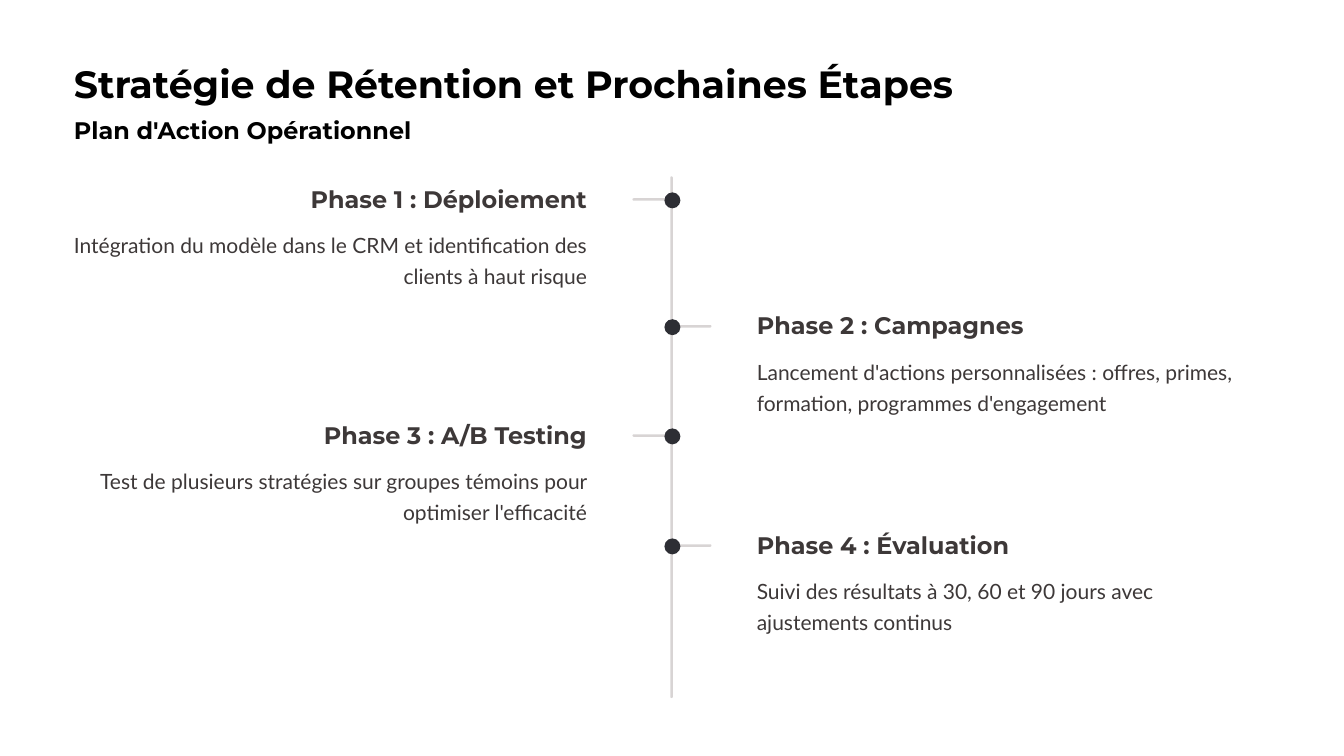
from dataclasses import dataclass

from pptx import Presentation
from pptx.dml.color import RGBColor
from pptx.enum.shapes import MSO_SHAPE
from pptx.enum.text import MSO_ANCHOR, MSO_AUTO_SIZE, PP_ALIGN
from pptx.util import Inches, Pt

ROUNDED = MSO_SHAPE.ROUNDED_RECTANGLE
LEFT, RIGHT = PP_ALIGN.LEFT, PP_ALIGN.RIGHT
TOP = MSO_ANCHOR.TOP
NO_AUTOFIT = MSO_AUTO_SIZE.NONE

COLORS = {"title": "000000", "text": "3D3838", "line": "D8D4D4", "dot": "2D2E34"}

MARGIN = 0.88
LEFT_EDGE = 6.99    # right edge of the texts left of the axis
RIGHT_EDGE = 9.01   # left edge of the texts right of the axis
BODY_W = 6.11
HEAD_H = 0.36
BAR = 0.03
DOT = 0.19
TICK_W = 0.5


@dataclass
class Style:
    font: str
    size: float
    spacing: float
    color: str
    bold: bool = True


@dataclass
class Phase:
    top: float
    head_w: float
    on_left: bool
    head: str
    body: str


TITLE = Style("Montserrat", 32.5, 41, "title")
SUBTITLE = Style("Montserrat", 20.5, 25.5, "title")
HEAD = Style("Montserrat", 20.5, 25.5, "text")
BODY = Style("Lato", 18, 27, "text", bold=False)

PHASES = [
    Phase(2.18, 3.3, True, "Phase 1 : Déploiement",
          "Intégration du modèle dans le CRM et identification des clients à haut risque"),
    Phase(3.69, 3.19, False, "Phase 2 : Campagnes",
          "Lancement d'actions personnalisées : offres, primes, formation, "
          "programmes d'engagement"),
    Phase(4.99, 3.14, True, "Phase 3 : A/B Testing",
          "Test de plusieurs stratégies sur groupes témoins pour optimiser l'efficacité"),
    Phase(6.3, 3.01, False, "Phase 4 : Évaluation",
          "Suivi des résultats à 30, 60 et 90 jours avec ajustements continus"),
]


def set_text(sp, text: str, style: Style, align=LEFT, wrap: bool = False) -> None:
    tf = sp.text_frame
    tf.margin_left = tf.margin_right = tf.margin_top = tf.margin_bottom = 0
    tf.auto_size = NO_AUTOFIT
    tf.vertical_anchor = TOP
    tf.word_wrap = wrap
    tf.text = text
    p = tf.paragraphs[0]
    p.alignment = align
    p.line_spacing = Pt(style.spacing)
    p.space_before = Pt(0)
    font = p.runs[0].font
    font.name = style.font
    font.size = Pt(style.size)
    font.bold = style.bold
    font.color.rgb = RGBColor.from_string(COLORS[style.color])


def add_text(s, x: float, y: float, w: float, h: float, text: str,
             style: Style, align=LEFT, wrap: bool = False) -> None:
    sp = s.shapes.add_textbox(Inches(x), Inches(y), Inches(w), Inches(h))
    set_text(sp, text, style, align, wrap)


def add_rounded(s, x: float, y: float, w: float, h: float, color: str) -> None:
    sp = s.shapes.add_shape(ROUNDED, Inches(x), Inches(y), Inches(w), Inches(h))
    sp.adjustments[0] = 0.5
    sp.shadow.inherit = False
    sp.fill.solid()
    sp.fill.fore_color.rgb = RGBColor.from_string(COLORS[color])
    sp.line.fill.background()


def add_phase(s, phase: Phase) -> None:
    # Tick and dot on the axis
    add_rounded(s, 7.53 if phase.on_left else 7.97, phase.top + 0.18, TICK_W, BAR, "line")
    add_rounded(s, 7.91, phase.top + 0.11, DOT, DOT, "dot")

    # Heading and description, both aligned towards the axis
    align = RIGHT if phase.on_left else LEFT
    head_x = LEFT_EDGE - phase.head_w if phase.on_left else RIGHT_EDGE
    body_x = LEFT_EDGE - BODY_W if phase.on_left else RIGHT_EDGE
    add_text(s, head_x, phase.top, phase.head_w, HEAD_H, phase.head, HEAD, align)
    add_text(s, body_x, phase.top + 0.51, BODY_W, 0.75, phase.body, BODY, align, wrap=True)


def main() -> None:
    prs = Presentation()
    prs.slide_width, prs.slide_height = Inches(16), Inches(9)
    s = prs.slides.add_slide(prs.slide_layouts[5])

    # Title and subtitle
    title = s.shapes.title
    title.left, title.top = Inches(MARGIN), Inches(0.69)
    title.width, title.height = Inches(10.59), Inches(0.57)
    set_text(title, "Stratégie de Rétention et Prochaines Étapes", TITLE)
    add_text(s, MARGIN, 1.36, 4.03, HEAD_H, "Plan d'Action Opérationnel", SUBTITLE)

    # Timeline
    add_rounded(s, 7.98, 2.1, BAR, 6.21, "line")
    for phase in PHASES:
        add_phase(s, phase)

    prs.save("out.pptx")


if __name__ == "__main__":
    main()
